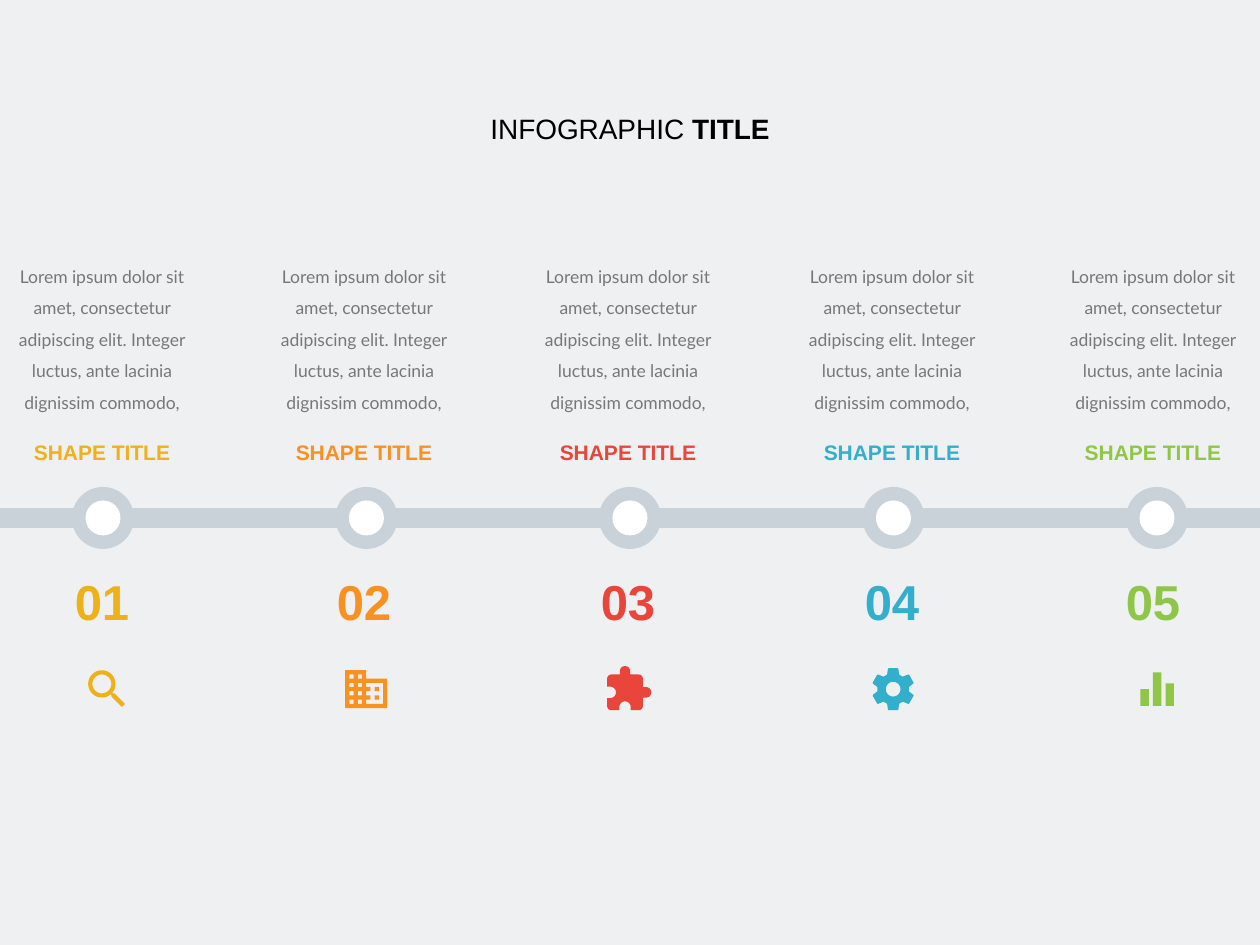
import math
from pptx import Presentation
from pptx.dml.color import RGBColor
from pptx.enum.shapes import MSO_SHAPE
from pptx.enum.text import MSO_ANCHOR, MSO_AUTO_SIZE, PP_ALIGN
from pptx.oxml.ns import qn
from pptx.util import Pt
from lxml import etree

RECT, OVAL = MSO_SHAPE.RECTANGLE, MSO_SHAPE.OVAL
TOP, MIDDLE = MSO_ANCHOR.TOP, MSO_ANCHOR.MIDDLE
CENTER = PP_ALIGN.CENTER
GROW = MSO_AUTO_SIZE.SHAPE_TO_FIT_TEXT

EMU_PER_PX = 914400 / 126
ICON_UNIT = 15240  # EMU in one unit of the 24-unit icon grid
ICON_STEPS = 100   # path steps in one icon unit
ICON_TOP = 664
TRACK_Y = 518

PAGE_COLOR, TRACK_COLOR, WHITE, BLACK = "EEF0F2", "C9D1D9", "FFFFFF", "000000"
BODY = ("Lorem ipsum dolor sit amet, consectetur adipiscing elit. "
        "Integer luctus, ante lacinia dignissim commodo,")


def px(length):
    return round(length * EMU_PER_PX)


def color(value):
    return RGBColor.from_string(value)


def arc(x, y, radius, start, end):
    """Points on an arc; angles in degrees, clockwise from the right."""
    count = max(8, abs(end - start) // 8)
    angles = [math.radians(start + (end - start) * i / count) for i in range(count + 1)]
    return [(x + radius * math.cos(a), y + radius * math.sin(a)) for a in angles]


def block(left, top, width, height):
    right, bottom = left + width, top + height
    return [(left, top), (right, top), (right, bottom), (left, bottom)]


def magnifier():
    rim = arc(9.5, 9.5, 6.5, 49, 401)
    handle = [(14.71, 14), (15.5, 14), (20.49, 19), (19, 20.49), (14, 15.5), (14, 14.71)]
    return [rim + handle, arc(9.5, 9.5, 4.5, 0, 360)]


def building():
    tower = [(12, 7), (12, 3), (2, 3), (2, 21), (22, 21), (22, 7)]
    windows = [block(x, y, 2, 2) for x in (4, 8) for y in (5, 9, 13, 17)]
    annex = [(20, 19), (12, 19), (12, 17), (14, 17), (14, 15), (12, 15),
             (12, 13), (14, 13), (14, 11), (12, 11), (12, 9), (20, 9)]
    return [tower, *windows, annex, block(16, 11, 2, 2), block(16, 15, 2, 2)]


def puzzle():
    return [[(19, 11), *arc(17, 7, 2, 0, -90),
             (13, 5), *arc(10.5, 3.5, 2.5, 0, -180),
             (8, 5), *arc(4, 7, 2, -90, -180),
             (2, 10.8), *arc(3.5, 13.5, 2.7, -90, 90),
             (2, 16.2), *arc(4, 20, 2, 180, 90),
             (7.8, 22), *arc(10.5, 20.5, 2.7, 180, 360),
             (13.2, 22), *arc(17, 20, 2, 90, 0),
             (19, 16), *arc(20.5, 13.5, 2.5, 90, -90)]]


def gear():
    tooth = [(-2.87, -6.93), (-2.49, -9.58), (-2.35, -9.88), (-2, -10),
             (2, -10), (2.35, -9.88), (2.49, -9.58), (2.87, -6.93)]
    rim = []
    for turn in range(6):
        cos, sin = math.cos(turn * math.pi / 3), math.sin(turn * math.pi / 3)
        rim += [(12 + x * cos - y * sin, 12 + x * sin + y * cos) for x, y in tooth]
    return [rim, arc(12, 12, 3.5, 0, 360)]


def bars():
    return [block(x, top, 4, 20 - top) for x, top in ((4, 12), (10, 4), (16, 9.2))]


class Canvas:
    """Holds the text styles and the current slide."""

    styles = {
        "heading": {"name": "Arial", "size": Pt(16), "bold": False},
        "strong": {"name": "Arial", "size": Pt(16), "bold": True},
        "label": {"name": "Arial", "size": Pt(12), "bold": True},
        "number": {"name": "Arial", "size": Pt(28), "bold": True},
        "body": {"name": "Lato", "size": Pt(10)},
    }

    def __init__(self, page):
        self.page = page
        page.background.fill.solid()
        page.background.fill.fore_color.rgb = color(PAGE_COLOR)

    def paint(self, shape, fill):
        shape.shadow.inherit = False
        shape.fill.solid()
        shape.fill.fore_color.rgb = color(fill)
        shape.line.fill.background()

    def shape(self, kind, left, top, width, height, fill):
        shape = self.page.shapes.add_shape(kind, px(left), px(top), px(width), px(height))
        self.paint(shape, fill)

    def disc(self, x, y, size, fill):
        self.shape(OVAL, x - size / 2, y - size / 2, size, size, fill)

    def icon(self, contours, left, top, fill):
        paths = [[(x * ICON_STEPS, y * ICON_STEPS) for x, y in contour] for contour in contours]
        builder = self.page.shapes.build_freeform(*paths[0][0], scale=ICON_UNIT / ICON_STEPS)
        for index, path in enumerate(paths):
            if index:
                builder.move_to(*path[0])
            builder.add_line_segments(path[1:], close=True)
        self.paint(builder.convert_to_shape(px(left), px(top)), fill)

    def text(self, x, top, width, height, spans, fill, anchor=MIDDLE, spacing=None, alpha=None):
        """Add a text box centred on x; spans are (text, style name) pairs."""
        box = self.page.shapes.add_textbox(px(x - width / 2), px(top), px(width), px(height))
        frame = box.text_frame
        layout = {"word_wrap": True, "auto_size": GROW, "vertical_anchor": anchor,
                  "margin_left": 0, "margin_top": 0, "margin_right": 0, "margin_bottom": 0}
        for key, value in layout.items():
            setattr(frame, key, value)
        para = frame.paragraphs[0]
        para.alignment = CENTER
        para.line_spacing = spacing
        for words, style in spans:
            span = para.add_run()
            span.text = words
            for key, value in self.styles[style].items():
                setattr(span.font, key, value)
            span.font.color.rgb = color(fill)
            if alpha:
                tint = span.font.fill._xPr.find(".//" + qn("a:srgbClr"))
                etree.SubElement(tint, qn("a:alpha")).set("val", str(alpha * 1000))


def main():
    deck = Presentation()
    deck.slide_width, deck.slide_height = px(1260), px(945)
    canvas = Canvas(deck.slides.add_slide(deck.slide_layouts[6]))

    # text centre, icon left, icon, colour
    steps = [
        (102, 82, magnifier(), "EEB11A"),
        (364, 341, building(), "F99121"),
        (628, 603, puzzle(), "E9453A"),
        (892, 868, gear(), "33AECB"),
        (1153, 1132, bars(), "90C647"),
    ]
    canvas.shape(RECT, 0, 508, 1260, 20, TRACK_COLOR)
    for index, (x, icon_left, contours, accent) in enumerate(steps):
        marker_x = 630 + (index - 2) * 527 / 2
        canvas.disc(marker_x, TRACK_Y, 62, TRACK_COLOR)
        canvas.disc(marker_x, TRACK_Y, 35, WHITE)
        canvas.text(x, 440, 209, 25, [("SHAPE TITLE", "label")], accent)
        canvas.text(x, 255, 209, 155, [(BODY, "body")], BLACK, TOP, 1.5, 50)
        canvas.text(x, 571, 101, 59, [(f"{index + 1:02}", "number")], accent)
        canvas.icon(contours, icon_left, ICON_TOP, accent)
    canvas.text(630, 111, 394, 34, [("INFOGRAPHIC", "heading"), (" TITLE", "strong")], BLACK)
    deck.save("out.pptx")


if __name__ == "__main__":
    main()
